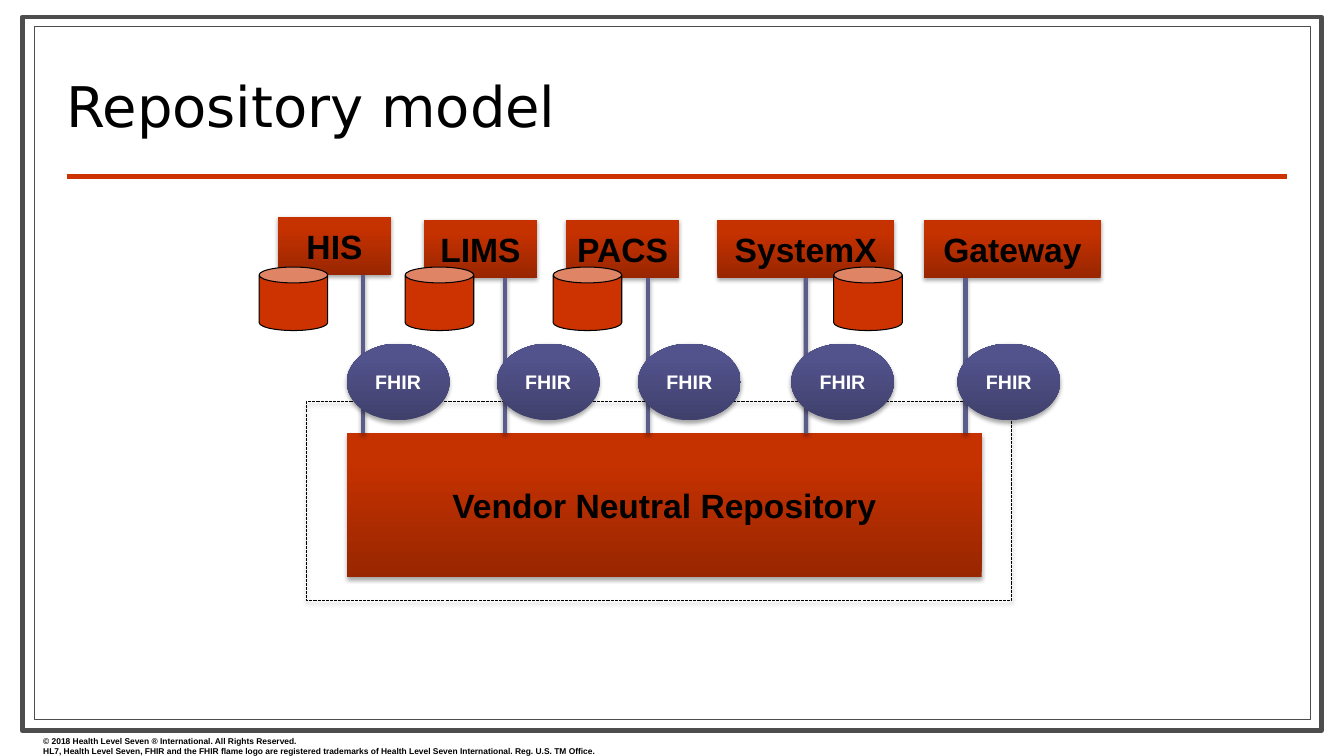
import copy

import lxml.etree
import pptx
import pptx.dml.color
import pptx.enum.dml
import pptx.enum.shapes
import pptx.enum.text
import pptx.oxml.ns
import pptx.util

Cm = pptx.util.Cm
Pt = pptx.util.Pt
RGB = pptx.dml.color.RGBColor
KIND = pptx.enum.shapes.MSO_SHAPE
LINE = pptx.enum.shapes.MSO_CONNECTOR.STRAIGHT
ANCHOR = pptx.enum.text.MSO_ANCHOR
ALIGN = pptx.enum.text.PP_ALIGN
qn = pptx.oxml.ns.qn

BLACK = RGB(0x00, 0x00, 0x00)
WHITE = RGB(0xFF, 0xFF, 0xFF)
GREY = RGB(0x4D, 0x4D, 0x4D)
RED = RGB(0xCC, 0x33, 0x00)
VIOLET = RGB(0x5C, 0x5C, 0x8A)
REDS = [RGB(0x98, 0x26, 0x00), RGB(0xC6, 0x31, 0x00), RGB(0xC7, 0x32, 0x00)]
BLUES = [RGB(0x40, 0x40, 0x6C), RGB(0x52, 0x52, 0x8C), RGB(0x52, 0x52, 0x8E)]


def cast(item, alpha=0):
    """Set the effects of an item: a soft shadow below it, or none at alpha 0."""
    effect = lxml.etree.SubElement(item._element.spPr, qn("a:effectLst"))
    if alpha:
        shadow = lxml.etree.SubElement(
            effect, qn("a:outerShdw"), blurRad=str(Pt(3.1)), dist=str(Pt(1.8)),
            dir="5400000", rotWithShape="0")
        color = lxml.etree.SubElement(shadow, qn("a:srgbClr"), val="000000")
        lxml.etree.SubElement(color, qn("a:alpha"), val=str(alpha * 1000))


def block(kind, at, tones, label, size, ink):
    """Add a labelled shape with a three-stop gradient from bottom to top."""
    shape = slide.shapes.add_shape(kind, *map(Cm, at))
    shape.fill.gradient()
    shape.fill.gradient_angle = 90
    stops = shape._element.spPr.find(".//" + qn("a:gsLst"))
    stops.append(copy.deepcopy(stops[-1]))
    for stop, place, tone in zip(shape.fill.gradient_stops, (0, 0.8, 1), tones):
        stop.position = place
        stop.color.rgb = tone
    shape.line.fill.background()
    cast(shape, 35)
    frame = shape.text_frame
    frame.vertical_anchor = ANCHOR.MIDDLE
    para = frame.paragraphs[0]
    para.alignment = ALIGN.CENTER
    run = para.add_run()
    run.text = label
    run.font.name = "Arial"
    run.font.size = Pt(size)
    run.font.bold = True
    run.font.color.rgb = ink
    return shape


deck = pptx.Presentation()
deck.slide_width = Cm(33.87)
deck.slide_height = Cm(19.05)
slide = deck.slides.add_slide(deck.slide_layouts[5])

# Double border of the page and dashed border of the repository
borders = [
    ((0.56, 0.43, 32.74, 17.98), GREY, 3.5, False),
    ((0.86, 0.66, 32.16, 17.48), GREY, 0.75, False),
    ((7.72, 10.13, 17.78, 5), BLACK, 0.75, True),
]
for at, color, width, dashed in borders:
    border = slide.shapes.add_shape(KIND.RECTANGLE, *map(Cm, at))
    border.line.color.rgb = color
    border.line.width = Pt(width)
    if dashed:
        border.fill.background()
        border.line.dash_style = pptx.enum.dml.MSO_LINE.SQUARE_DOT
        border.line._ln.find(qn("a:prstDash")).set("val", "sysDash")
        cast(border, 38)
    else:
        border.fill.solid()
        border.fill.fore_color.rgb = WHITE
        cast(border)

rule = slide.shapes.add_connector(LINE, Cm(1.7), Cm(4.45), Cm(32.44), Cm(4.45))
rule.line.color.rgb = RED
rule.line.width = Pt(3)
cast(rule)

# Title, raised above the borders
title = slide.shapes.title
title.left, title.top, title.width, title.height = map(Cm, (1.42, 1.32, 25.91, 2.29))
slide.shapes._spTree.append(title._element)
title.text_frame.vertical_anchor = ANCHOR.BOTTOM
para = title.text_frame.paragraphs[0]
para.alignment = ALIGN.LEFT
para.line_spacing = 0.8
run = para.add_run()
run.text = "Repository model"
run.font.name = "DejaVu Sans"
run.font.size = Pt(40)
run.font.color.rgb = BLACK

# Copyright lines
notice = slide.shapes.add_textbox(Cm(0.84), Cm(18.42), Cm(16.36), Cm(0.76)).text_frame
notice.word_wrap = True
lines = [
    "© 2018 Health Level Seven ® International. All Rights Reserved.",
    "HL7, Health Level Seven, FHIR and the FHIR flame logo are registered "
    "trademarks of Health Level Seven International. Reg. U.S. TM Office.",
]
for i, line in enumerate(lines):
    para = notice.add_paragraph() if i else notice.paragraphs[0]
    run = para.add_run()
    run.text = line
    run.font.name = "Arial"
    run.font.size = Pt(6)
    run.font.bold = True
    run.font.color.rgb = BLACK

block(KIND.RECTANGLE, (8.74, 10.92, 16, 3.61), REDS,
      "Vendor Neutral Repository", 24, BLACK)

# Label, left, top and width of the system, then x of its wire, oval and store
systems = [
    ("HIS", 7.01, 5.46, 2.84, 9.14, 8.74, 6.53),
    ("LIMS", 10.69, 5.54, 2.84, 12.73, 12.52, 10.21),
    ("PACS", 14.27, 5.54, 2.84, 16.33, 16.08, 13.94),
    ("SystemX", 18.08, 5.54, 4.45, 20.31, 19.94, 21.01),
    ("Gateway", 23.29, 5.54, 4.45, 24.33, 24.13, None),
]
for label, left, top, width, wire_x, oval_x, store_x in systems:
    system = block(KIND.RECTANGLE, (left, top, width, 1.47), REDS, label, 24, BLACK)

    wire = slide.shapes.add_connector(
        LINE, Cm(wire_x), Cm(10.92), Cm(wire_x), Cm(top + 1.47))
    if abs(left + width / 2 - wire_x) < 0.02:
        wire.end_connect(system, 2)
    wire.line.color.rgb = VIOLET
    wire.line.width = Pt(3)
    cast(wire, 35)

    block(KIND.OVAL, (oval_x, 8.66, 2.59, 1.93), BLUES, "FHIR", 14, WHITE)

    if store_x:
        store = slide.shapes.add_shape(
            KIND.CAN, Cm(store_x), Cm(6.73), Cm(1.73), Cm(1.6))
        store.fill.solid()
        store.fill.fore_color.rgb = RED
        store.line.color.rgb = BLACK
        store.line.width = Pt(0.75)
        cast(store)

deck.save("out.pptx")
